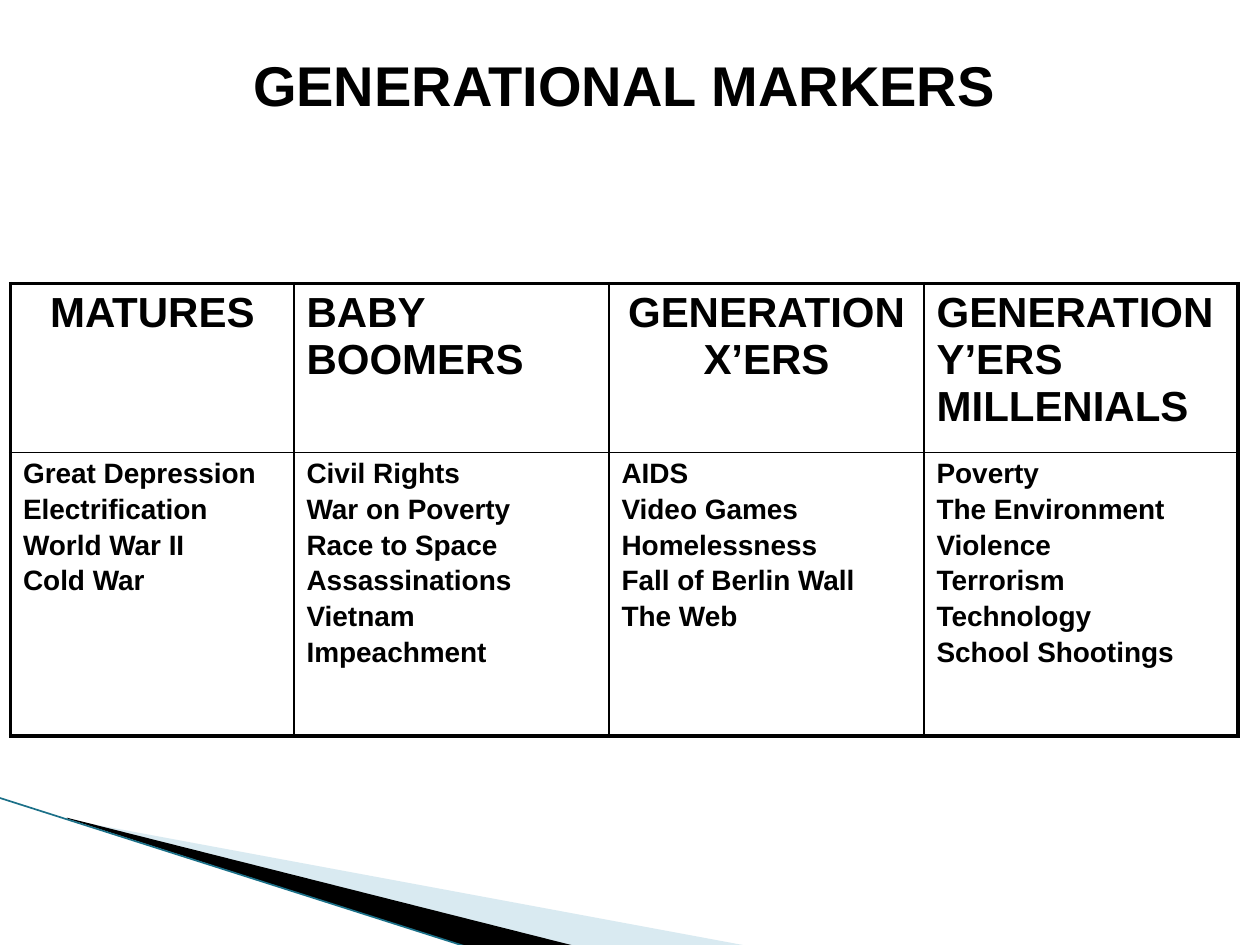
import pptx
import pptx.util
import pptx.dml.color
import pptx.enum.text
import pptx.oxml
import pptx.oxml.ns

Pt = pptx.util.Pt
RGB = pptx.dml.color.RGBColor
Align = pptx.enum.text.PP_ALIGN
Anchor = pptx.enum.text.MSO_ANCHOR
qn = pptx.oxml.ns.qn

BLACK = RGB(0, 0, 0)
WHITE = RGB(255, 255, 255)
PALE = RGB(0xA0, 0xCB, 0xDC)
TEAL = RGB(0x1B, 0x70, 0x88)
FONT = "Arial"
NS = 'xmlns:a="http://schemas.openxmlformats.org/drawingml/2006/main"'

TITLE = "GENERATIONAL MARKERS"
GROUPS = [
    ("MATURES", Align.CENTER, 162,
     ["Great Depression", "Electrification", "World War II", "Cold War"]),
    ("BABY BOOMERS", Align.LEFT, 180,
     ["Civil Rights", "War on Poverty", "Race to Space", "Assassinations",
      "Vietnam", "Impeachment"]),
    ("GENERATION X’ERS", Align.CENTER, 180,
     ["AIDS", "Video Games", "Homelessness", "Fall of Berlin Wall", "The Web"]),
    ("GENERATION Y’ERS MILLENIALS", Align.LEFT, 179.5,
     ["Poverty", "The Environment", "Violence", "Terrorism", "Technology",
      "School Shootings"]),
]
ROWS = [96.5, 162]
WEDGES = [
    (PALE, 40, [(39.6, 468.5), (428.4, 540.7), (328.3, 540.7), (39.6, 468)]),
    (BLACK, 100, [(38.2, 467.3), (329, 540.7), (267.8, 541.4), (38.9, 468)]),
]


def style(para, size, align):
    para.alignment = align
    for run in para.runs:
        run.font.name = FONT
        run.font.size = Pt(size)
        run.font.bold = True
        run.font.color.rgb = BLACK


def add_wedge(slide, color, alpha, points):
    spots = [(Pt(x), Pt(y)) for x, y in points]
    form = slide.shapes.build_freeform(*spots[0], scale=1.0)
    form.add_line_segments(spots[1:], close=True)
    wedge = form.convert_to_shape()
    wedge.shadow.inherit = False
    wedge.fill.solid()
    wedge.fill.fore_color.rgb = color
    wedge.line.fill.background()
    if alpha < 100:
        tone = wedge.fill._xPr.find(qn("a:solidFill"))[0]
        tone.append(pptx.oxml.parse_xml(f'<a:alpha {NS} val="{alpha * 1000}"/>'))


def add_edge(slide):
    edge = slide.shapes.add_connector(1, Pt(-0.7), Pt(455.8), Pt(267.8), Pt(541.4))
    edge.line.color.rgb = TEAL
    edge.line.width = Pt(0.95)
    edge._element.spPr.append(pptx.oxml.parse_xml(f"<a:effectLst {NS}/>"))


def add_title(slide):
    box = slide.shapes.add_textbox(Pt(95), Pt(36), Pt(523.5), Pt(24))
    frame = box.text_frame
    frame.word_wrap = True
    frame.vertical_anchor = Anchor.MIDDLE
    frame.text = TITLE
    style(frame.paragraphs[0], 32, Align.CENTER)


def add_borders(cell, row, col):
    outer = {"L": col == 0, "R": col == len(GROUPS) - 1,
             "T": row == 0, "B": row == len(ROWS) - 1}
    props = cell._tc.get_or_add_tcPr()
    for spot, (side, thick) in enumerate(outer.items()):
        width = Pt(2.25 if thick else 1)
        props.insert(spot, pptx.oxml.parse_xml(
            f'<a:ln{side} {NS} w="{width}"><a:solidFill>'
            f'<a:srgbClr val="{BLACK}"/></a:solidFill></a:ln{side}>'))


def fill_cell(cell, lines, size, align):
    cell.fill.solid()
    cell.fill.fore_color.rgb = WHITE
    cell.text_frame.text = "\n".join(lines)
    for index, para in enumerate(cell.text_frame.paragraphs):
        style(para, size, align)
        if index:
            para.space_before = Pt(2.6)


def add_grid(slide):
    total = sum(group[2] for group in GROUPS)
    grid = slide.shapes.add_table(len(ROWS), len(GROUPS), Pt(6), Pt(162),
                                  Pt(total), Pt(sum(ROWS))).table
    grid.first_row = False
    grid.horz_banding = False
    for row, height in enumerate(ROWS):
        grid.rows[row].height = Pt(height)
    for col, (head, align, width, marks) in enumerate(GROUPS):
        grid.columns[col].width = Pt(width)
        fill_cell(grid.cell(0, col), [head], 24, align)
        fill_cell(grid.cell(1, col), marks, 16, Align.LEFT)
        for row in range(len(ROWS)):
            add_borders(grid.cell(row, col), row, col)


def main():
    deck = pptx.Presentation()
    deck.slide_width, deck.slide_height = Pt(720), Pt(540)
    slide = deck.slides.add_slide(deck.slide_layouts[6])
    for wedge in WEDGES:
        add_wedge(slide, *wedge)
    add_edge(slide)
    add_title(slide)
    add_grid(slide)
    deck.save("out.pptx")


if __name__ == "__main__":
    main()
